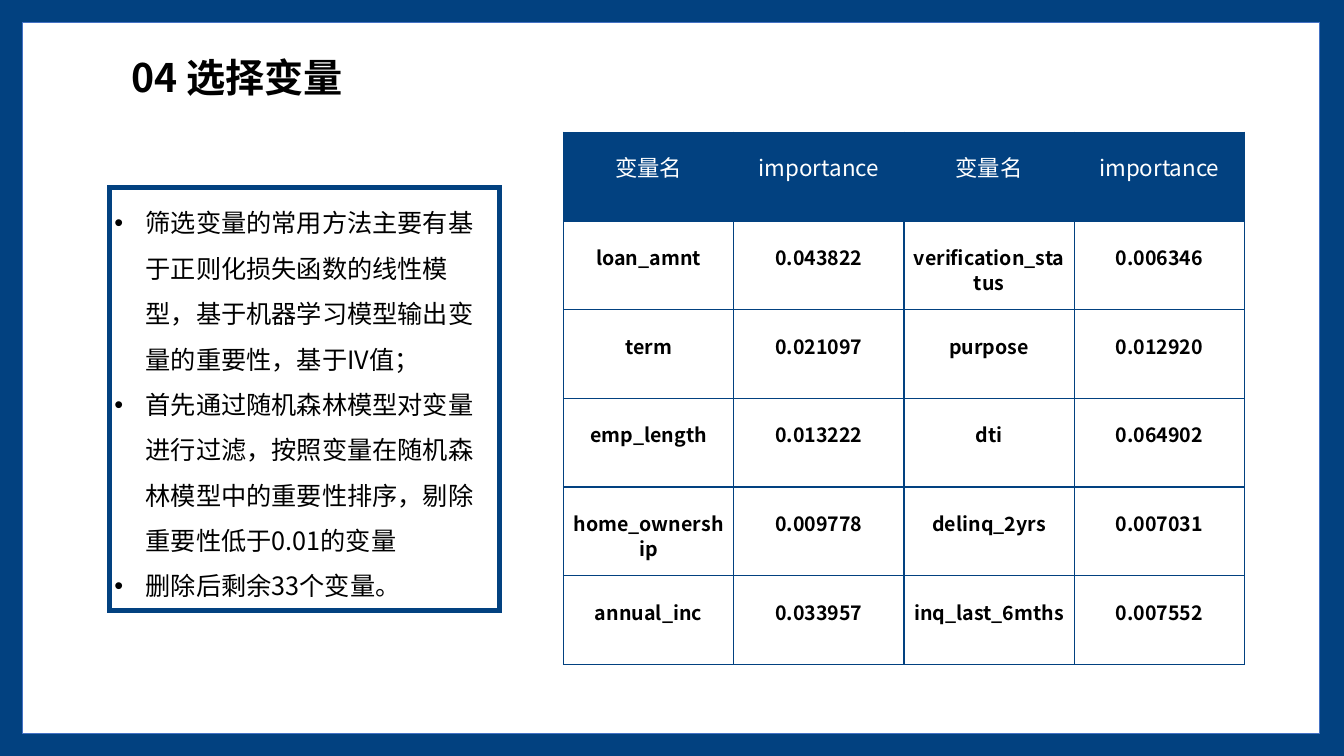
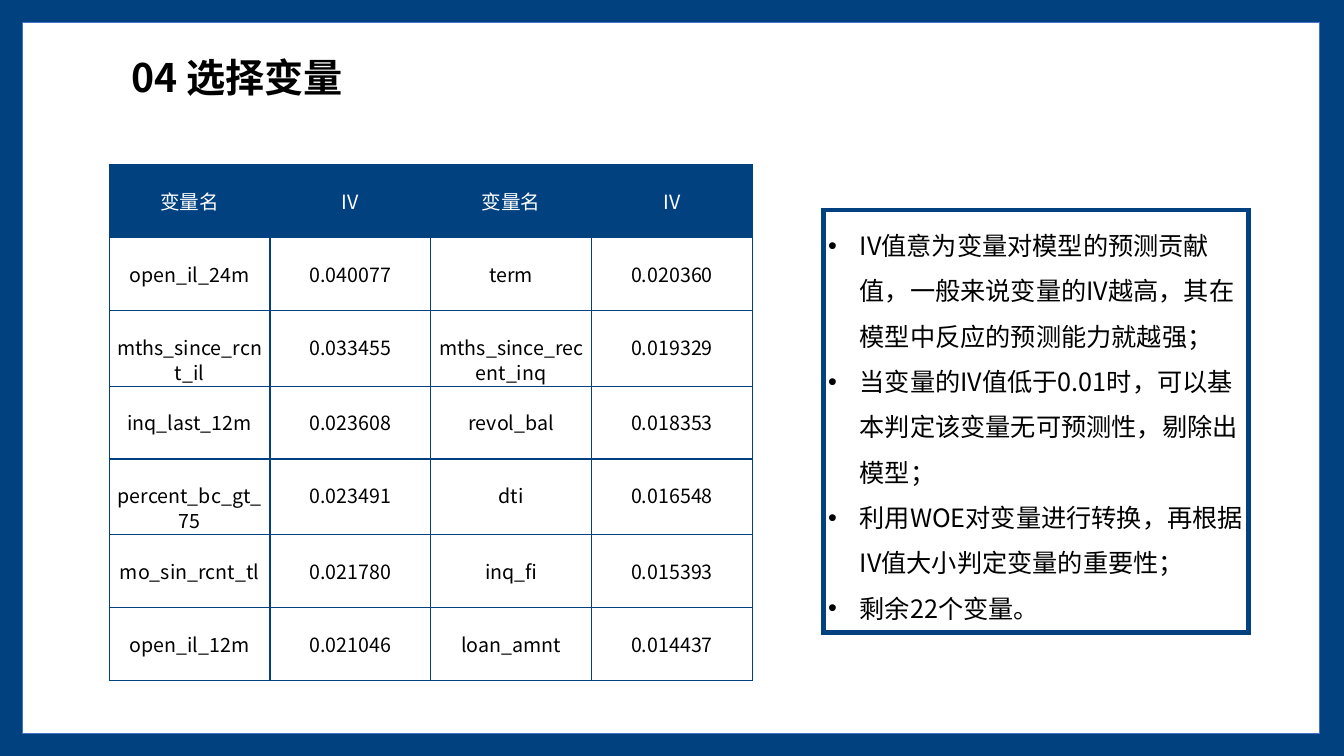
from lxml import etree
from pptx import Presentation
from pptx.dml.color import RGBColor
from pptx.enum.shapes import MSO_SHAPE
from pptx.enum.text import MSO_ANCHOR, MSO_AUTO_SIZE, PP_ALIGN
from pptx.oxml.ns import qn
from pptx.util import Pt

RECTANGLE = MSO_SHAPE.RECTANGLE
TOP, MIDDLE = MSO_ANCHOR.TOP, MSO_ANCHOR.MIDDLE
LEFT, CENTER = PP_ALIGN.LEFT, PP_ALIGN.CENTER
NO_AUTOFIT = MSO_AUTO_SIZE.NONE

COLORS = {"navy": "024180", "panel_line": "4472C4", "white": "FFFFFF", "black": "000000"}
FONT = "Noto Sans CJK SC"
STOP_FONT = "Times New Roman"
SLIDE_WIDTH, SLIDE_HEIGHT = 960, 540
PANEL_BOX = (16, 16, 926.5, 508)
TITLE_BOX = (90, 34.5, 320, 41)
TITLE = "04 选择变量"

FOREST_ROWS = [
    ("变量名", "importance", "变量名", "importance"),
    ("loan_amnt", "0.043822", "verification_status", "0.006346"),
    ("term", "0.021097", "purpose", "0.012920"),
    ("emp_length", "0.013222", "dti", "0.064902"),
    ("home_ownership", "0.009778", "delinq_2yrs", "0.007031"),
    ("annual_inc", "0.033957", "inq_last_6mths", "0.007552"),
]
FOREST_POINTS = [
    "筛选变量的常用方法主要有基于正则化损失函数的线性模型，基于机器学习模型输出变量的重要性，基于IV值；",
    "首先通过随机森林模型对变量进行过滤，按照变量在随机森林模型中的重要性排序，剔除重要性低于0.01的变量",
    "删除后剩余33个变量",
]
IV_ROWS = [
    ("变量名", "IV", "变量名", "IV"),
    ("open_il_24m", "0.040077", "term", "0.020360"),
    ("mths_since_rcnt_il", "0.033455", "mths_since_recent_inq", "0.019329"),
    ("inq_last_12m", "0.023608", "revol_bal", "0.018353"),
    ("percent_bc_gt_75", "0.023491", "dti", "0.016548"),
    ("mo_sin_rcnt_tl", "0.021780", "inq_fi", "0.015393"),
    ("open_il_12m", "0.021046", "loan_amnt", "0.014437"),
]
IV_POINTS = [
    "IV值意为变量对模型的预测贡献值，一般来说变量的IV越高，其在模型中反应的预测能力就越强；",
    "当变量的IV值低于0.01时，可以基本判定该变量无可预测性，剔除出模型；",
    "利用WOE对变量进行转换，再根据IV值大小判定变量的重要性；",
    "剩余22个变量。",
]


def rgb(name):
    """Return the named colour."""
    return RGBColor.from_string(COLORS[name])


def place(shape, box):
    """Move and size a shape to a box in points."""
    shape.left, shape.top, shape.width, shape.height = map(Pt, box)


def style_paragraph(paragraph, size, color="black", bold=False, align=LEFT):
    """Set alignment and font, East Asian typeface included."""
    paragraph.alignment = align
    font = paragraph.font
    font.size, font.bold, font.name = Pt(size), bold, FONT
    font.color.rgb = rgb(color)
    defaults = paragraph._p.pPr.find(qn("a:defRPr"))
    etree.SubElement(defaults, qn("a:ea"), typeface=FONT)


def prepare_frame(frame, anchor):
    """Give a text frame narrow insets and a fixed size."""
    frame.margin_left = frame.margin_right = Pt(3.6)
    frame.margin_top = frame.margin_bottom = Pt(3.6)
    frame.word_wrap = True
    frame.auto_size = NO_AUTOFIT
    frame.vertical_anchor = anchor


def add_base_slide(presentation):
    """Add a slide with the white panel and the section title."""
    slide = presentation.slides.add_slide(presentation.slide_layouts[1])
    panel = slide.shapes.add_shape(RECTANGLE, *map(Pt, PANEL_BOX))
    panel.shadow.inherit = False
    panel.fill.solid()
    panel.fill.fore_color.rgb = rgb("white")
    panel.line.color.rgb = rgb("panel_line")
    panel.line.width = Pt(1)
    slide.shapes._spTree.insert(2, panel._element)

    title = slide.shapes.title
    place(title, TITLE_BOX)
    prepare_frame(title.text_frame, MIDDLE)
    title.text_frame.text = TITLE
    style_paragraph(title.text_frame.paragraphs[0], 28, bold=True)
    return slide


def add_borders(cell):
    """Draw a thin navy line on all four sides of a cell."""
    properties = cell._tc.get_or_add_tcPr()
    for side in ("lnL", "lnR", "lnT", "lnB"):
        line = etree.SubElement(properties, qn(f"a:{side}"), w=str(Pt(1)))
        fill = etree.SubElement(line, qn("a:solidFill"))
        etree.SubElement(fill, qn("a:srgbClr"), val=COLORS["navy"])


def add_variable_table(slide, box, rows, header_size, bold_body):
    """Add a table of variables and scores with a navy header row."""
    frame = slide.shapes.add_table(len(rows), len(rows[0]), *map(Pt, box))
    table = frame.table
    table.horz_banding = False
    for row_index, values in enumerate(rows):
        table.rows[row_index].height = Pt(box[3] / len(rows))
        is_header = row_index == 0
        for column_index, value in enumerate(values):
            cell = table.cell(row_index, column_index)
            add_borders(cell)
            if is_header:
                cell.fill.solid()
                cell.fill.fore_color.rgb = rgb("navy")
            else:
                cell.fill.background()
            cell.margin_left = cell.margin_right = Pt(5.4)
            cell.margin_top, cell.margin_bottom = Pt(18), Pt(0)
            cell.vertical_anchor = TOP
            cell.text = value
            paragraph = cell.text_frame.paragraphs[0]
            paragraph.line_spacing = Pt(18)
            if is_header:
                style_paragraph(paragraph, header_size, "white", align=CENTER)
            else:
                style_paragraph(paragraph, 14, bold=bold_body, align=CENTER)


def fill_notes_box(slide, box, points):
    """Turn the body placeholder into a framed bullet list and return it."""
    body = slide.placeholders[1]
    place(body, box)
    body.line.color.rgb = rgb("navy")
    body.line.width = Pt(3.5)
    outline = body._element.spPr.find(qn("a:ln"))
    etree.SubElement(outline, qn("a:miter"), lim="800000")
    frame = body.text_frame
    prepare_frame(frame, TOP)
    frame.text = "\n".join(points)
    for paragraph in frame.paragraphs:
        paragraph.line_spacing = 1.5
        paragraph.space_before = Pt(0)
        style_paragraph(paragraph, 18)
        properties = paragraph._p.pPr
        properties.set("marL", str(Pt(22.5)))
        properties.set("indent", str(-Pt(22.5)))
        # Keeps commas and stops inside the frame at line ends.
        properties.set("hangingPunct", "0")
    return body


def build_forest_slide(presentation):
    """Selection by random forest importance: list left, table right."""
    slide = add_base_slide(presentation)
    add_variable_table(slide, (402.5, 94.5, 486.5, 380), FOREST_ROWS, 16, True)
    body = fill_notes_box(slide, (78, 134, 279, 302), FOREST_POINTS)
    stop = body.text_frame.paragraphs[-1].add_run()
    stop.text = "。"
    stop.font.name = STOP_FONT


def build_iv_slide(presentation):
    """Selection by IV: table left, list right."""
    slide = add_base_slide(presentation)
    add_variable_table(slide, (78, 117.5, 459.5, 365), IV_ROWS, 14, False)
    fill_notes_box(slide, (588, 150, 304, 302), IV_POINTS)


def main():
    """Build and save the presentation."""
    presentation = Presentation()
    presentation.slide_width, presentation.slide_height = Pt(SLIDE_WIDTH), Pt(SLIDE_HEIGHT)
    background = presentation.slide_master.background.fill
    background.solid()
    background.fore_color.rgb = rgb("navy")
    build_forest_slide(presentation)
    build_iv_slide(presentation)
    presentation.save("out.pptx")


main()
